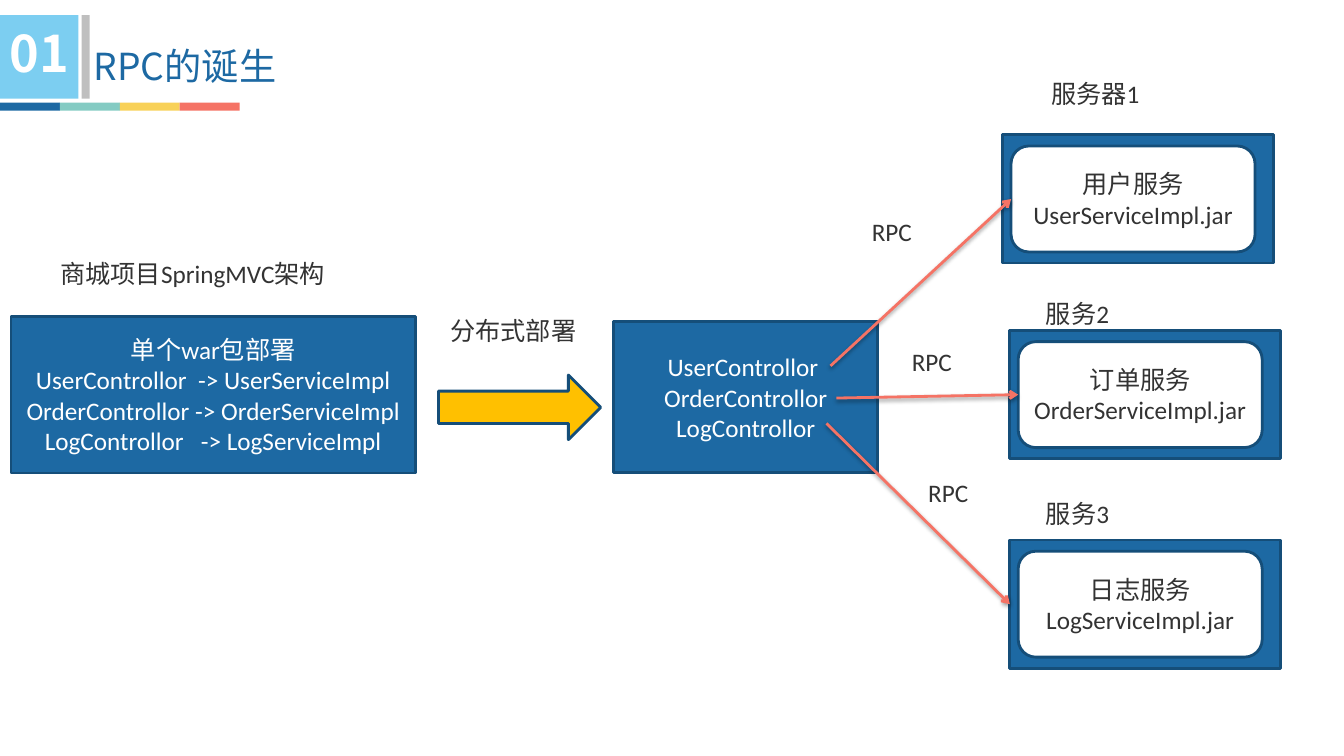
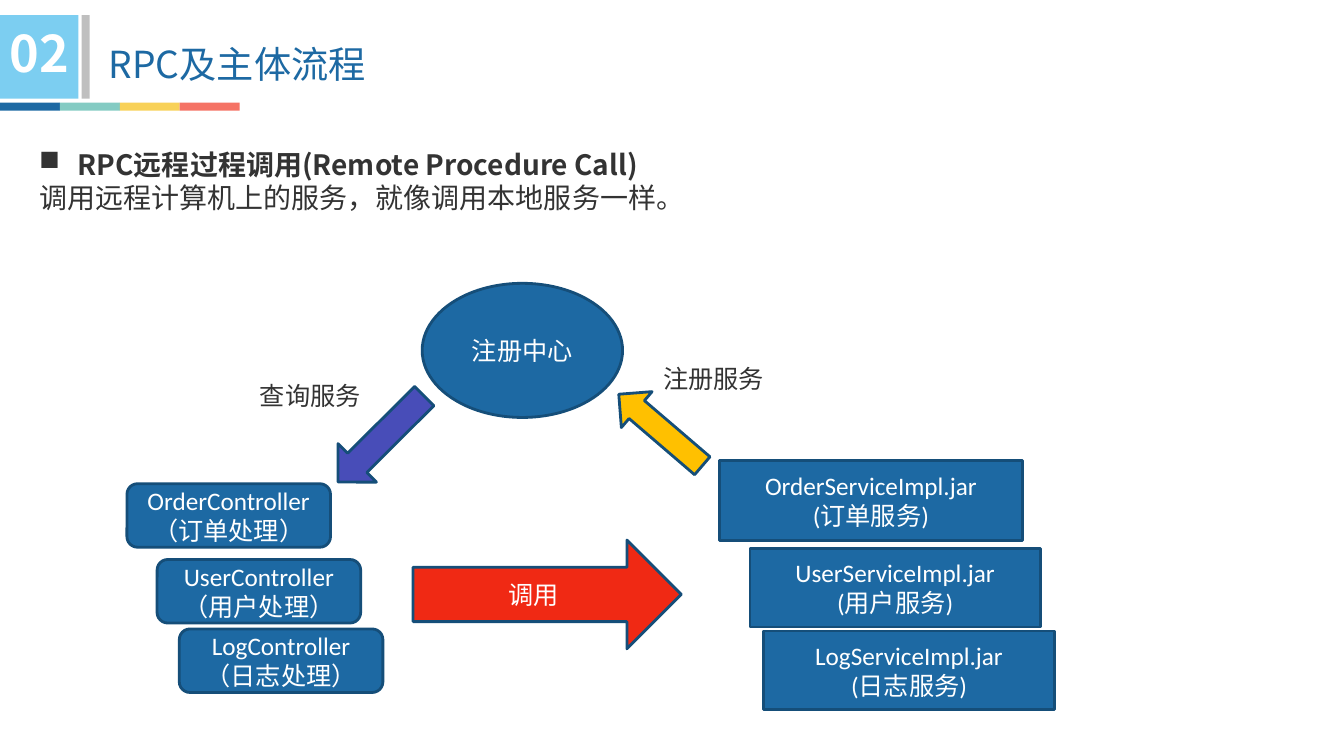
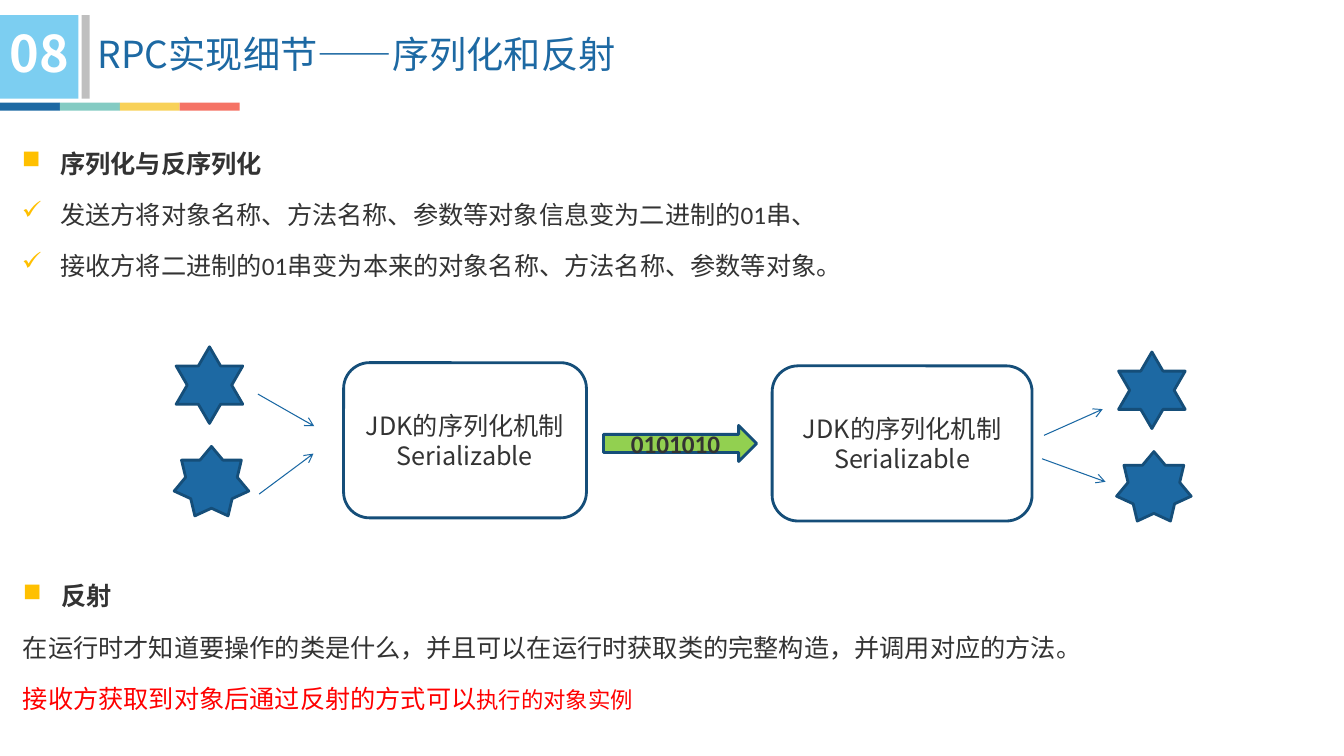
from lxml.etree import SubElement
from pptx import Presentation
from pptx.dml.color import RGBColor
from pptx.enum.shapes import MSO_CONNECTOR as Connector, MSO_SHAPE as Shape
from pptx.enum.text import MSO_ANCHOR as Anchor, MSO_AUTO_SIZE as AutoSize, PP_ALIGN as Align
from pptx.oxml.ns import qn
from pptx.util import Cm, Pt

COLORS = {
    "blue": "1D69A3", "navy": "154E79", "teal": "84CBC3", "yellow": "F8D158",
    "coral": "F57365", "sky": "7CCEF1", "gray": "BFBFBF", "white": "FFFFFF",
    "ink": "333333", "amber": "FFC000", "scarlet": "F02914", "violet": "484DB8",
    "green": "92D050", "red": "FF0000", "line": "1967A3",
}
NOTO = "Noto Sans CJK SC"
BASE = {"name": "Calibri", "size": 18, "bold": False, "color": "ink"}
ON_BLUE = {"color": "white"}
TITLE = {"name": NOTO, "size": 26.6, "color": "blue"}
NUMBER = {"name": NOTO, "size": 36, "bold": True, "color": "white"}
HEADING = {"name": "Arial", "bold": True}

STRIPE_COLORS = ["blue", "teal", "yellow", "coral"]
STRIPE_WIDTH = 1.51
LABEL_HEIGHT = 1.02

MONOLITH = ["单个war包部署", "UserControllor  -> UserServiceImpl",
            "OrderControllor -> OrderServiceImpl", "LogControllor   -> LogServiceImpl"]
CONTROLLERS = ["UserControllor ", "OrderControllor", "LogControllor"]
SERVERS = [
    {"label": "服务器1", "label_at": (26.24, 1.85), "at": (25.27, 3.4),
     "lines": ["用户服务", "UserServiceImpl.jar"],
     "start": (20.93, 9.22), "target": "inner", "rpc_at": (21.72, 5.33)},
    {"label": "服务2", "label_at": (26.11, 7.39), "at": (25.45, 8.33),
     "lines": ["订单服务", "OrderServiceImpl.jar"],
     "start": (21.08, 10.03), "target": "inner", "rpc_at": (22.73, 8.61)},
    {"label": "服务3", "label_at": (26.11, 12.42), "at": (25.45, 13.61),
     "lines": ["日志服务", "LogServiceImpl.jar"],
     "start": (20.83, 10.67), "target": "outer", "rpc_at": (23.14, 11.91)},
]
DEPLOY_LABELS = [("商城项目SpringMVC架构", 1.27, 6.38, 7.54), ("分布式部署", 11.1, 7.82, 3.73)]

DEFINITION = [
    {"runs": [("RPC远程过程调用(Remote Procedure Call)", {"bold": True})], "bullet": "■"},
    "调用远程计算机上的服务，就像调用本地服务一样。",
]
FLOW_BOXES = [
    (Shape.ROUNDED_RECTANGLE, (3.2, 12.19, 5.13, 1.6), ["OrderController", "（订单处理）"]),
    (Shape.ROUNDED_RECTANGLE, (3.96, 14.1, 5.13, 1.6), ["UserController", "（用户处理）"]),
    (Shape.ROUNDED_RECTANGLE, (4.52, 15.85, 5.13, 1.6), ["LogController", "（日志处理）"]),
    (Shape.RECTANGLE, (18.14, 11.61, 7.62, 2.01), ["OrderServiceImpl.jar", "(订单服务)"]),
    (Shape.RECTANGLE, (18.9, 13.82, 7.32, 1.98), ["UserServiceImpl.jar", "(用户服务)"]),
    (Shape.RECTANGLE, (19.25, 15.9, 7.32, 1.98), ["LogServiceImpl.jar", "(日志服务)"]),
    (Shape.OVAL, (10.64, 7.14, 5.05, 3.38), ["注册中心"]),
]
FLOW_ARROWS = [
    (Shape.RIGHT_ARROW, (10.41, 13.61, 6.76, 2.74), "scarlet", ["调用"], 0),
    (Shape.DOWN_ARROW, (16.05, 9.45, 1.19, 2.77), "amber", [], 130.6),
    (Shape.DOWN_ARROW, (8.92, 9.53, 1.37, 3.07), "violet", [], 45.1),
]
FLOW_LABELS = [("注册服务", 16.46, 9.02, 3.68), ("查询服务", 6.3, 9.47, 3.15)]

SERIALIZATION = [
    {"runs": [("序列化与反序列化", HEADING)], "bullet": "■"},
    {"runs": [("发送方将对象名称、方法名称、参数等对象信息变为二进制的01串、", {})], "bullet": "✓"},
    {"runs": [("接收方将二进制的01串变为本来的对象名称、方法名称、参数等对象。", {})], "bullet": "✓"},
]
REFLECTION = [
    {"runs": [("反射", HEADING)], "bullet": "■"},
    "在运行时才知道要操作的类是什么，并且可以在运行时获取类的完整构造，并调用对应的方法。",
    {"runs": [("接收方获取到对象后通过反射的方式可以", {"color": "red"}),
              ("执行的对象实例", {"color": "red", "size": 16})]},
]
SERIALIZERS = [(8.66, 9.14, 6.12, 3.91), (19.46, 9.22, 6.55, 3.91)]
STARS = [(Shape.STAR_6_POINT, 4.44, 8.74, 1.68, 1.93), (Shape.STAR_7_POINT, 4.39, 11.25, 1.88, 1.75)]
STAR_OFFSETS = [(0, 0), (23.75, 0.13)]
OBJECT_ARROWS = [
    ((6.5, 9.93), (7.92, 10.74)), ((6.53, 12.45), (7.9, 11.43)),
    ((26.31, 10.97), (27.79, 10.31)), ((26.26, 11.56), (27.86, 12.14)),
]


def rgb(name):
    return RGBColor.from_string(COLORS[name])


def set_all(target, values):
    for key, value in values.items():
        setattr(target, key, value)


def add_run(paragraph, text, style):
    run = paragraph.add_run()
    run.text = text
    style = {**BASE, **style}
    run.font.color.rgb = rgb(style["color"])
    set_all(run.font, {"name": style["name"], "size": Pt(style["size"]), "bold": style["bold"]})
    SubElement(run._r.get_or_add_rPr(), qn("a:ea"), typeface=NOTO)


def add_bullet(paragraph, character, color):
    properties = paragraph._p.get_or_add_pPr()
    properties.set("marL", str(Cm(0.97)))
    properties.set("indent", str(-Cm(0.97)))
    bullet_color = SubElement(properties, qn("a:buClr"))
    SubElement(bullet_color, qn("a:srgbClr"), val=COLORS[color])
    SubElement(properties, qn("a:buChar"), char=character)


def write(frame, lines, style, align=Align.LEFT, spacing=None, bullet_color="ink"):
    for index, line in enumerate(lines):
        if isinstance(line, str):
            line = {"runs": [(line, {})]}
        paragraph = frame.add_paragraph() if index else frame.paragraphs[0]
        set_all(paragraph, {"alignment": align, "line_spacing": spacing})
        if "bullet" in line:
            add_bullet(paragraph, line["bullet"], bullet_color)
        for text, changes in line["runs"]:
            add_run(paragraph, text, {**style, **changes})


def add_text(slide, box, lines, style=None, inset=True, **layout):
    frame = slide.shapes.add_textbox(*map(Cm, box)).text_frame
    set_all(frame, {"word_wrap": True, "auto_size": AutoSize.SHAPE_TO_FIT_TEXT})
    if not inset:
        set_all(frame, {f"margin_{side}": 0 for side in ("left", "top", "right", "bottom")})
    write(frame, lines, style or {}, **layout)


def add_label(slide, text, left, top, width):
    add_text(slide, (left, top, width, LABEL_HEIGHT), [text])


def add_block(slide, kind, box, fill="blue", lines=(), style=ON_BLUE, outlined=True):
    shape = slide.shapes.add_shape(kind, *map(Cm, box))
    shape.shadow.inherit = False
    shape.fill.solid()
    shape.fill.fore_color.rgb = rgb(fill)
    if outlined:
        shape.line.color.rgb = rgb("navy")
        shape.line.width = Pt(2)
    else:
        shape.line.fill.background()
    set_all(shape.text_frame, {"word_wrap": True, "vertical_anchor": Anchor.MIDDLE})
    write(shape.text_frame, lines, style, Align.CENTER)
    return shape


def add_arrow(slide, start, end, color, width, target=None, shadow=False):
    arrow = slide.shapes.add_connector(Connector.STRAIGHT, *map(Cm, start + end))
    if target is not None:
        arrow.end_connect(target, 1)
    arrow.line.color.rgb = rgb(color)
    arrow.line.width = Pt(width)
    SubElement(arrow.line._get_or_add_ln(), qn("a:tailEnd"), type="arrow")
    effects = SubElement(arrow._element.spPr, qn("a:effectLst"))
    if shadow:
        outer = SubElement(effects, qn("a:outerShdw"), blurRad=str(Pt(3.1)), dist=str(Pt(1.6)),
                           dir="5400000", rotWithShape="0")
        shade = SubElement(outer, qn("a:srgbClr"), val="000000")
        SubElement(shade, qn("a:alpha"), val="38000")


def add_page(presentation, number, title, title_at):
    slide = presentation.slides.add_slide(presentation.slide_layouts[6])
    for index, color in enumerate(STRIPE_COLORS):
        add_block(slide, Shape.RECTANGLE, (index * STRIPE_WIDTH, 2.59, STRIPE_WIDTH, 0.2),
                  color, outlined=False)
    add_block(slide, Shape.RECTANGLE, (0, 0.38, 1.98, 2.11), "sky", outlined=False)
    add_block(slide, Shape.RECTANGLE, (2.06, 0.38, 0.2, 2.11), "gray", outlined=False)
    add_text(slide, (0, 0.43, 2.26, 1.8), [number], NUMBER)
    add_text(slide, (*title_at, 21.5, 1.14), [title], TITLE, inset=False)
    return slide


def build_origin(presentation):
    slide = add_page(presentation, "01", "RPC的诞生", (2.36, 1.09))
    add_block(slide, Shape.RIGHT_ARROW, (11.05, 9.45, 4.09, 1.63), "amber")
    add_block(slide, Shape.RECTANGLE, (0.28, 7.98, 10.19, 3.94), lines=MONOLITH)
    add_block(slide, Shape.RECTANGLE, (15.47, 8.1, 6.65, 3.81), lines=CONTROLLERS)
    for label in DEPLOY_LABELS:
        add_label(slide, *label)
    for server in SERVERS:
        left, top = server["at"]
        boxes = {
            "outer": add_block(slide, Shape.RECTANGLE, (left, top, 6.83, 3.23)),
            "inner": add_block(slide, Shape.ROUNDED_RECTANGLE, (left + 0.21, top + 0.28, 6.15, 2.67),
                               "white", server["lines"], BASE),
        }
        add_arrow(slide, server["start"], server["at"], "coral", 2, boxes[server["target"]], True)
        add_label(slide, server["label"], *server["label_at"], 4.9)
        add_label(slide, "RPC", *server["rpc_at"], 2.13)


def build_flow(presentation):
    slide = add_page(presentation, "02", "RPC及主体流程", (2.74, 1.04))
    add_text(slide, (0.74, 3.58, 17.4, 1.96), DEFINITION, {"name": NOTO, "size": 20})
    for kind, box, lines in FLOW_BOXES:
        add_block(slide, kind, box, lines=lines)
    for kind, box, fill, lines, rotation in FLOW_ARROWS:
        add_block(slide, kind, box, fill, lines).rotation = rotation
    for label in FLOW_LABELS:
        add_label(slide, *label)


def build_details(presentation):
    slide = add_page(presentation, "08", "RPC实现细节——序列化和反射", (2.46, 0.79))
    list_layout = {"spacing": 1.7, "bullet_color": "amber"}
    add_text(slide, (0.3, 3.07, 29.72, 5.33), SERIALIZATION, **list_layout)
    add_text(slide, (0.33, 13.97, 29.72, 4.17), REFLECTION, **list_layout)
    for shift_x, shift_y in STAR_OFFSETS:
        for kind, left, top, width, height in STARS:
            add_block(slide, kind, (left + shift_x, top + shift_y, width, height))
    for box in SERIALIZERS:
        add_block(slide, Shape.ROUNDED_RECTANGLE, box, "white",
                  ["JDK的序列化机制Serializable"], {"name": NOTO})
    add_block(slide, Shape.RIGHT_ARROW, (15.21, 10.72, 3.86, 0.91), "green", ["0101010"], {"bold": True})
    for start, end in OBJECT_ARROWS:
        add_arrow(slide, start, end, "line", 0.75)


def main():
    presentation = Presentation()
    set_all(presentation, {"slide_width": Cm(33.87), "slide_height": Cm(19.05)})
    for build in (build_origin, build_flow, build_details):
        build(presentation)
    presentation.save("out.pptx")


if __name__ == "__main__":
    main()
